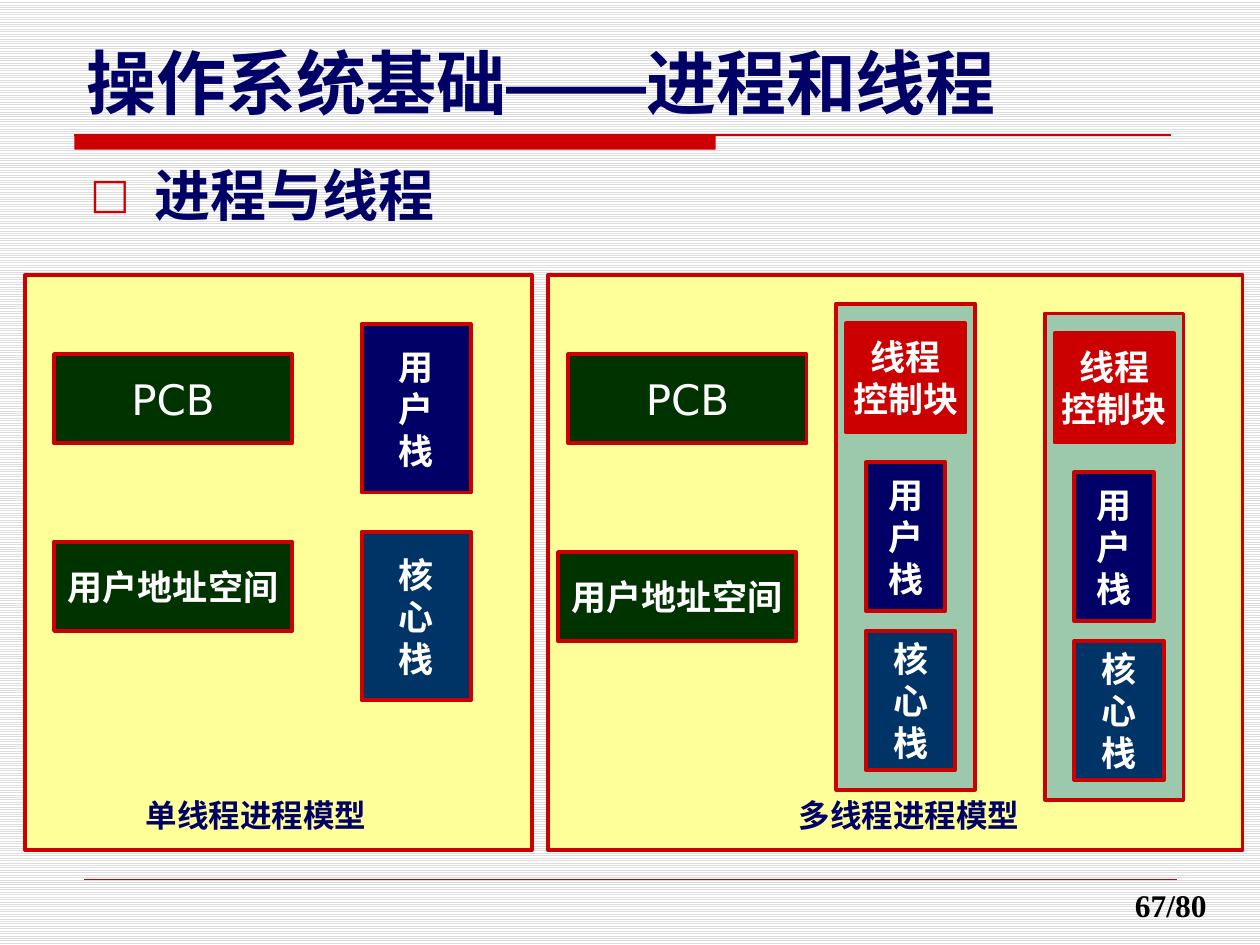
from dataclasses import dataclass

from lxml import etree
from pptx import Presentation
from pptx import util as u
from pptx.dml.color import RGBColor
from pptx.enum import dml, shapes, text
from pptx.oxml.ns import qn


@dataclass(frozen=True)
class Theme:
    navy: RGBColor = RGBColor.from_string("000066")
    red: RGBColor = RGBColor.from_string("CC0000")
    yellow: RGBColor = RGBColor.from_string("FFFF99")
    green: RGBColor = RGBColor.from_string("003300")
    blue: RGBColor = RGBColor.from_string("003366")
    mint: RGBColor = RGBColor.from_string("9CC8AB")
    stripe: RGBColor = RGBColor.from_string("DDDDDD")
    white: RGBColor = RGBColor.from_string("FFFFFF")
    black: RGBColor = RGBColor.from_string("000000")
    face: str = "DejaVu Sans"
    dash_face: str = "Arial"
    number_face: str = "Times New Roman"
    title: int = 40
    heading: int = 32
    pcb: int = 24
    label: int = 20
    caption: int = 18


theme = Theme()


def write(frame, lines, size, colour, bold=True, face=theme.face, align=text.PP_ALIGN.LEFT):
    for number, line in enumerate(lines):
        paragraph = frame.paragraphs[0] if number == 0 else frame.add_paragraph()
        paragraph.text = line
        paragraph.alignment = align
        font = paragraph.font
        font.size, font.bold, font.name = u.Pt(size), bold, face
        font.color.rgb = colour
        etree.SubElement(font._rPr, qn("a:ea")).set("typeface", face)
    return frame.paragraphs[0]


def block(group, left, top, width, height, fill, lines=(), size=theme.label, bold=True):
    rect = group.shapes.add_shape(shapes.MSO_SHAPE.RECTANGLE, u.Cm(left), u.Cm(top), u.Cm(width), u.Cm(height))
    rect.shadow.inherit = False
    rect.fill.solid()
    rect.fill.fore_color.rgb = fill
    rect.line.color.rgb = theme.red
    rect.line.width = u.Pt(2.25)
    rect.text_frame.word_wrap = False
    rect.text_frame.vertical_anchor = text.MSO_ANCHOR.MIDDLE
    write(rect.text_frame, lines, size, theme.white, bold, align=text.PP_ALIGN.CENTER)
    return rect


prs = Presentation()
prs.slide_width, prs.slide_height = u.Cm(25.4), u.Cm(19.05)
slide = prs.slides.add_slide(prs.slide_layouts[6])

backdrop = slide.background.fill
backdrop.patterned()
backdrop.pattern = dml.MSO_PATTERN.LIGHT_HORIZONTAL
backdrop.fore_color.rgb = theme.stripe
backdrop.back_color.rgb = theme.white

title_bar = block(slide, 1.5, 2.72, 12.93, 0.3, theme.red)
title_bar.line.fill.background()
for left, right, level, weight in [(1.5, 23.6, 2.72, 0.75), (1.7, 23.72, 17.73, 0.25)]:
    rule = slide.shapes.add_connector(
        shapes.MSO_CONNECTOR.STRAIGHT, u.Cm(left), u.Cm(level), u.Cm(right), u.Cm(level))
    rule.line.color.rgb = theme.red
    rule.line.width = u.Pt(weight)
    etree.SubElement(rule._element.spPr, qn("a:effectLst"))

page = slide.shapes.add_textbox(u.Cm(22.63), u.Cm(17.73), u.Cm(2.06), u.Cm(1.02)).text_frame
page.word_wrap = False
write(page, ["67/80"], theme.caption, theme.black, face=theme.number_face)

title = slide.shapes.add_textbox(u.Cm(1.5), u.Cm(0.53), u.Cm(22.23), u.Cm(2.08)).text_frame
title.word_wrap = True
title.vertical_anchor = text.MSO_ANCHOR.BOTTOM
title_line = write(title, ["操作系统基础"], theme.title, theme.navy)
dash = title_line.add_run()
dash.text = "——"
dash.font.name = theme.dash_face
etree.SubElement(dash.font._rPr, qn("a:ea")).set("typeface", theme.dash_face)
title_line.add_run().text = "进程和线程"

body = slide.shapes.add_textbox(u.Cm(1.57), u.Cm(3.12), u.Cm(22.23), u.Cm(14.4)).text_frame
body.word_wrap = True
heading = write(body, ["进程与线程"], theme.heading, theme.navy)
heading.space_before = u.Pt(6.4)
heading_format = heading._p.get_or_add_pPr()
heading_format.set("marL", str(u.Cm(1.3)))
heading_format.set("indent", str(-u.Cm(1.3)))
bullet_colour = etree.Element(qn("a:buClr"))
etree.SubElement(bullet_colour, qn("a:srgbClr")).set("val", str(theme.red))
bullet_size = etree.Element(qn("a:buSzPct"), val="75000")
bullet_face = etree.Element(qn("a:buFont"), typeface=theme.face)
bullet_sign = etree.Element(qn("a:buChar"), char="□")
for part in (bullet_colour, bullet_size, bullet_face, bullet_sign):
    heading_format.find(qn("a:defRPr")).addprevious(part)

models = [
    ("单线程进程模型", 0.51, 10.21, 2.69, (1.09, 7.14), (1.09, 10.92)),
    ("多线程进程模型", 11.05, 14, 15.85, (11.46, 7.14), (11.25, 11.13)),
]
groups = []
for name, left, width, name_left, pcb_at, space_at in models:
    model = slide.shapes.add_group_shape()
    block(model, left, 5.54, width, 11.6, theme.yellow)
    caption = model.shapes.add_textbox(u.Cm(name_left), u.Cm(15.93), u.Cm(4.98), u.Cm(1.02)).text_frame
    caption.word_wrap = False
    write(caption, [name], theme.caption, theme.navy)
    block(model, *pcb_at, 4.8, 1.8, theme.green, ["PCB"], theme.pcb, False)
    block(model, *space_at, 4.8, 1.8, theme.green, ["用户地址空间"])
    groups.append(model)
single, multi = groups

block(single, 7.29, 6.53, 2.2, 3.4, theme.navy, "用户栈")
block(single, 7.29, 10.72, 2.2, 3.4, theme.blue, "核心栈")

for thread in range(2):
    left, top = 16.86 + 4.2 * thread, 6.12 + 0.2 * thread
    block(multi, left, top, 2.8, 9.8, theme.mint)
    block(multi, left + 0.6, top + 3.2, 1.6, 3, theme.navy, "用户栈")
    block(multi, left + 0.6, top + 6.6, 1.8, 2.8, theme.blue, "核心栈")
    block(multi, left + 0.2, top + 0.4, 2.4, 2.2, theme.red, ["线程", "控制块"])

prs.save("out.pptx")
